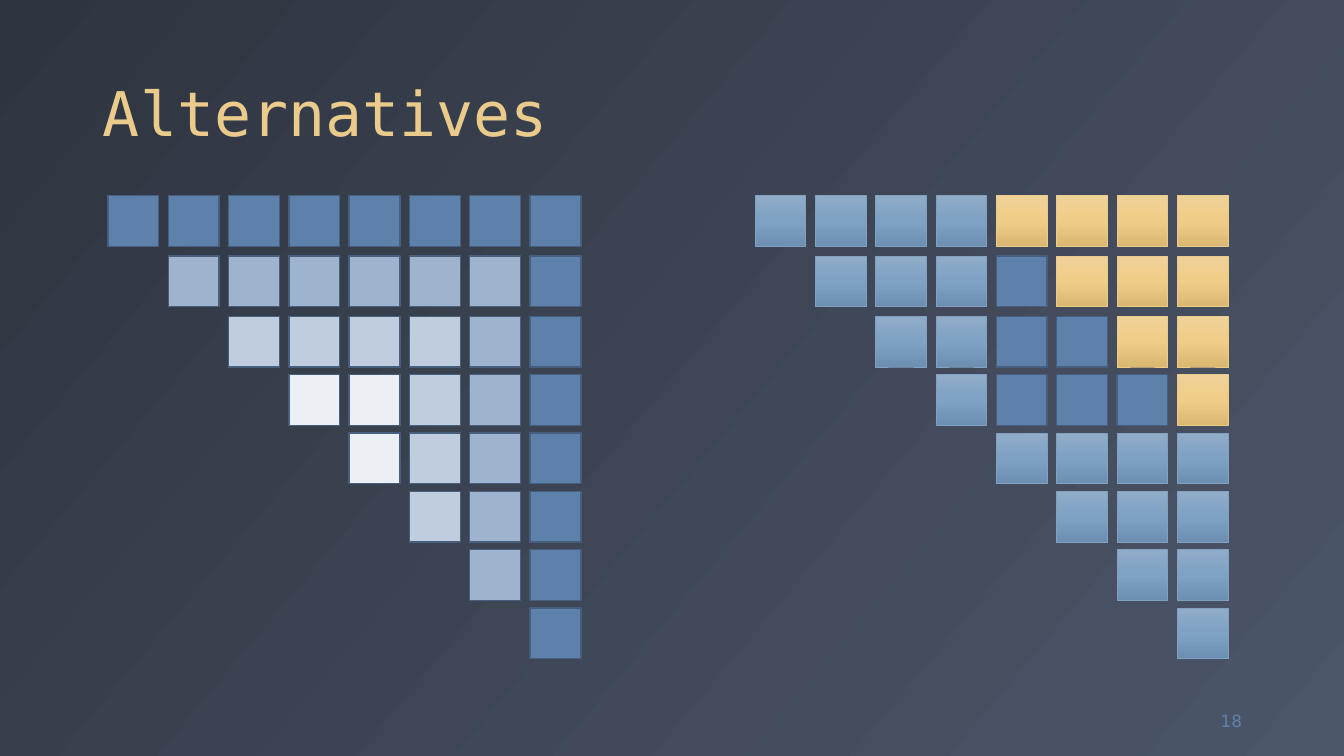
import copy
from dataclasses import dataclass

import pptx
import pptx.dml.color
import pptx.enum.shapes
import pptx.enum.text
import pptx.oxml.ns
import pptx.util

Cm = pptx.util.Cm
Pt = pptx.util.Pt


@dataclass(frozen=True)
class Theme:
    """Colours, fonts and type sizes of the slide."""
    background: tuple = ("2E3440", "4C5669")
    gold: str = "EBCB8B"
    gold_shades: tuple = ("EFD29A", "F0CD86", "DBB871")
    sky: str = "81A1C1"
    sky_shades: tuple = ("90ACC8", "7EA1C4", "6C8FB2")
    blue: str = "5E81AC"
    blue_edge: str = "465F7F"
    ring_tints: tuple = ("5E81AC", "9EB3CD", "BFCDDE", "ECEFF3")
    title_font: str = "DejaVu Sans Mono"
    body_font: str = "DejaVu Sans"
    title_size: int = 44
    number_size: int = 12


THEME = Theme()
GRID_SIZE = 8
HALF = GRID_SIZE // 2
CELL = 1.28
COLUMN_PITCH = 1.52
ROW_PITCH = 1.47
UPPER_ROW_EXTRA = 0.05


def rgb(value):
    """Return the colour for a hexadecimal string."""
    return pptx.dml.color.RGBColor.from_string(value)


def apply_gradient(fill, element, colors, angle):
    """Fill with evenly spaced colours at a clockwise angle."""
    fill.gradient()
    fill.gradient_angle = 360 - angle
    stop_list = next(element.iter(pptx.oxml.ns.qn("a:gsLst")))
    for _ in colors[2:]:
        stop_list.append(copy.deepcopy(stop_list[-1]))
    for index, (stop, color) in enumerate(zip(fill.gradient_stops, colors)):
        stop.position = index / (len(colors) - 1)
        stop.color.rgb = rgb(color)


def write_text(shape, text, *, font, size, color, alignment, anchor, line_spacing=1.0):
    """Write one formatted paragraph into a shape."""
    frame = shape.text_frame
    frame.word_wrap = True
    frame.auto_size = pptx.enum.text.MSO_AUTO_SIZE.NONE
    frame.vertical_anchor = anchor
    frame.text = text
    paragraph = frame.paragraphs[0]
    paragraph.alignment = alignment
    paragraph.line_spacing = line_spacing
    paragraph.font.name = font
    paragraph.font.size = Pt(size)
    paragraph.font.color.rgb = rgb(color)


def add_title(slide, text, left, top, width, height):
    """Place the title placeholder in its box."""
    title = slide.shapes.title
    title.left, title.top, title.width, title.height = map(Cm, (left, top, width, height))
    write_text(title, text, font=THEME.title_font, size=THEME.title_size, color=THEME.gold,
               alignment=pptx.enum.text.PP_ALIGN.LEFT,
               anchor=pptx.enum.text.MSO_ANCHOR.BOTTOM, line_spacing=0.9)


def add_slide_number(slide, text, left, top, width, height):
    """Place the slide number in its box."""
    box = slide.shapes.add_textbox(*map(Cm, (left, top, width, height)))
    write_text(box, text, font=THEME.body_font, size=THEME.number_size, color=THEME.blue,
               alignment=pptx.enum.text.PP_ALIGN.RIGHT,
               anchor=pptx.enum.text.MSO_ANCHOR.MIDDLE)


def ring_style(row, column):
    """Return colours, edge and edge width by distance from the outer edge."""
    level = min(row, GRID_SIZE - 1 - column)
    return (THEME.ring_tints[level],), THEME.blue_edge, 1


def block_style(row, column):
    """Return colours, edge and edge width by recursive block."""
    if column - row >= HALF:
        return THEME.gold_shades, THEME.gold, 0.5
    if row < HALF <= column:
        return (THEME.blue,), THEME.blue_edge, 1
    return THEME.sky_shades, THEME.sky, 0.5


def add_triangle(slide, left, top, cell_style):
    """Draw an upper triangular grid of cells from its top left corner."""
    for row in range(GRID_SIZE):
        cell_top = top + row * ROW_PITCH + min(row, 2) * UPPER_ROW_EXTRA
        for column in range(row, GRID_SIZE):
            colors, edge, edge_width = cell_style(row, column)
            cell = slide.shapes.add_shape(
                pptx.enum.shapes.MSO_SHAPE.RECTANGLE,
                Cm(left + column * COLUMN_PITCH), Cm(cell_top), Cm(CELL), Cm(CELL))
            cell.shadow.inherit = False
            if len(colors) > 1:
                apply_gradient(cell.fill, cell._element, colors, 90)
            else:
                cell.fill.solid()
                cell.fill.fore_color.rgb = rgb(colors[0])
            cell.line.color.rgb = rgb(edge)
            cell.line.width = Pt(edge_width)


def main():
    """Build and save the slide."""
    presentation = pptx.Presentation()
    presentation.slide_width = Cm(33.87)
    presentation.slide_height = Cm(19.05)
    slide = presentation.slides.add_slide(presentation.slide_layouts[5])
    apply_gradient(slide.background.fill, slide._element, THEME.background, 40)
    add_title(slide, "Alternatives", 2.34, 0.46, 29.21, 3.45)
    add_slide_number(slide, "18", 29.44, 17.65, 2.11, 1.02)
    add_triangle(slide, 2.72, 4.93, ring_style)
    add_triangle(slide, 19.03, 4.93, block_style)
    presentation.save("out.pptx")


if __name__ == "__main__":
    main()
